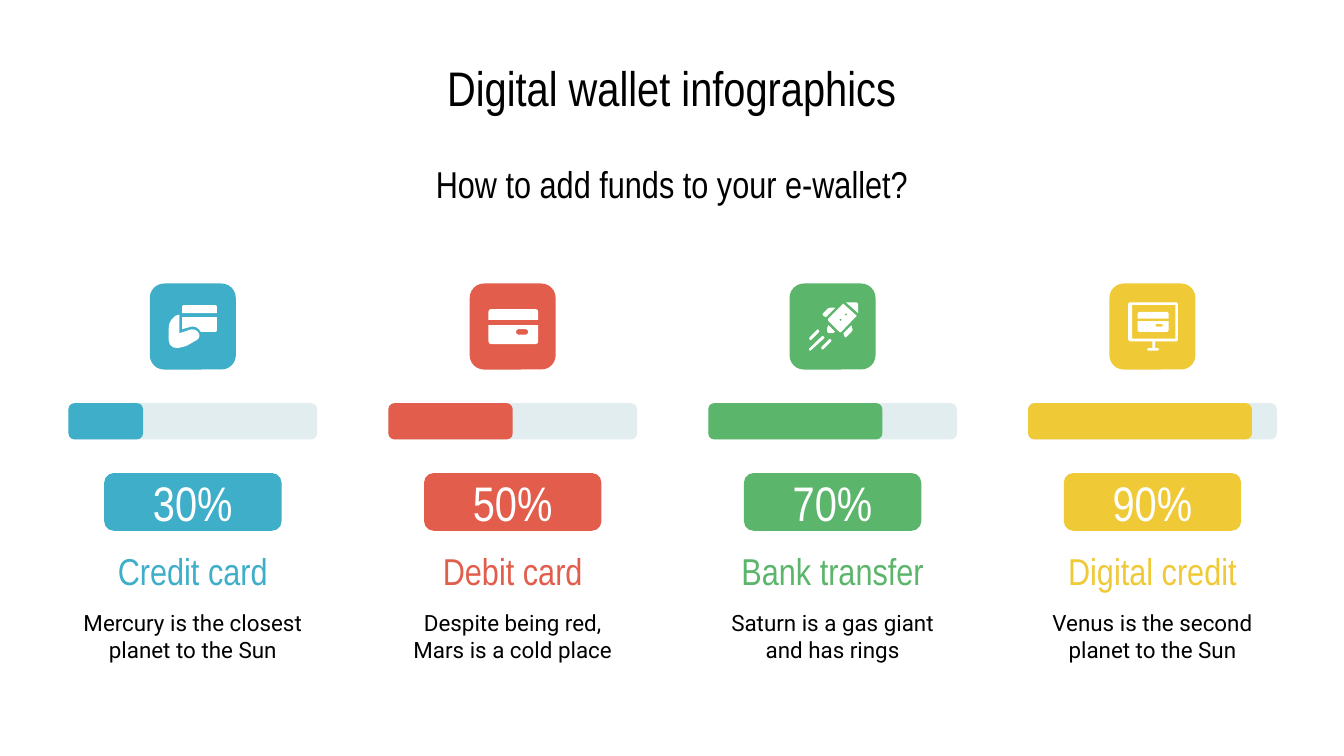
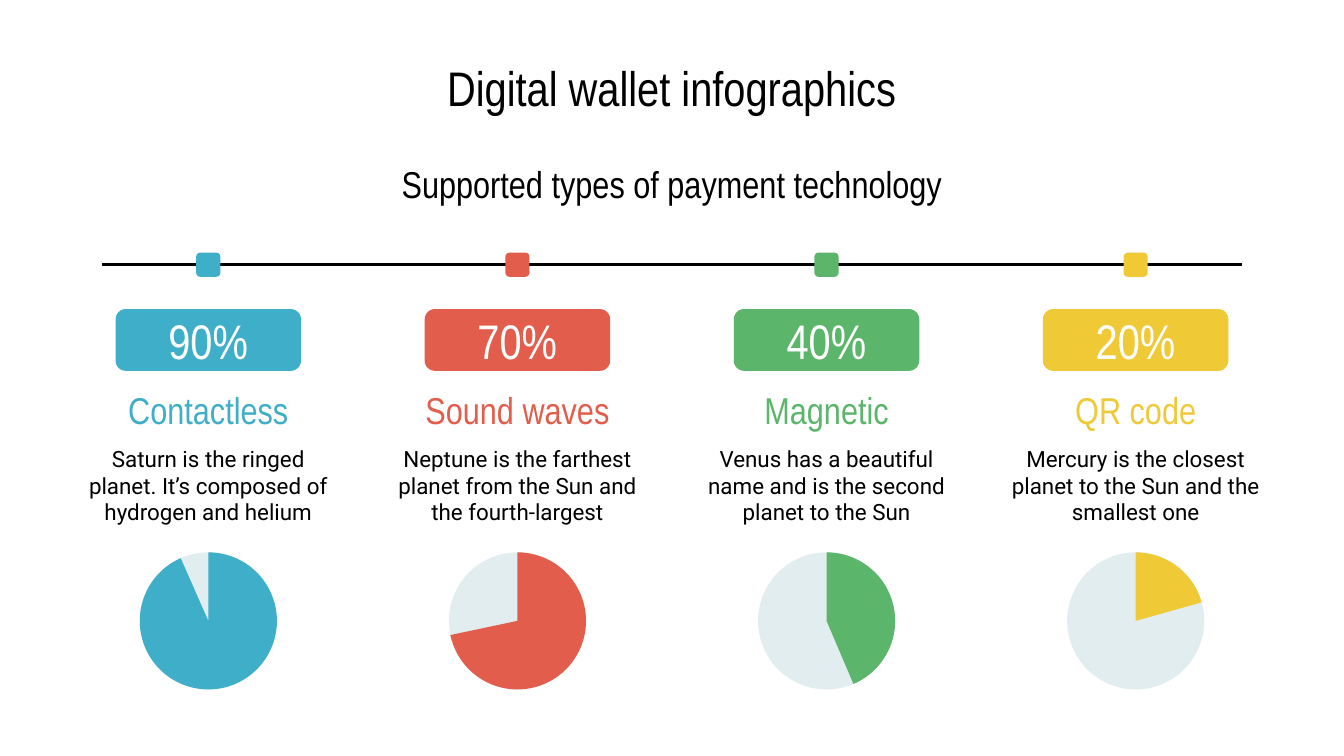
from lxml import etree
from pptx import Presentation, util as u
from pptx.dml.color import RGBColor
from pptx.enum import shapes, text
from pptx.oxml.ns import qn

# Content
TITLE = "Digital wallet infographics"
FUNDS = ("How to add funds to your e-wallet?", [
    ("Credit card", 30, "Mercury is the closest planet to the Sun"),
    ("Debit card", 50, "Despite being red, Mars is a cold place"),
    ("Bank transfer", 70, "Saturn is a gas giant and has rings"),
    ("Digital credit", 90, "Venus is the second planet to the Sun"),
])
# Name, percent, description, sweep of the pie in degrees
TECHNOLOGY = ("Supported types of payment technology", [
    ("Contactless", 90, "Saturn is the ringed planet. It’s composed of hydrogen and helium", 336.26),
    ("Sound waves", 70, "Neptune is the farthest planet from the Sun and the fourth-largest", 258.08),
    ("Magnetic", 40, "Venus has a beautiful name and is the second planet to the Sun", 156.9),
    ("QR code", 20, "Mercury is the closest planet to the Sun and the smallest one", 74.28),
])

# Icons: each part is a list of outlines (later outlines are holes),
# in hundredths of an inch from the corner of the icon tile
HAND_WITH_CARD = [
    [[(22, 23), (19, 24), (16, 27), (14.5, 30), (14, 34), (14, 42), (15, 45.5), (17.5, 47.5), (21, 48),
      (27, 46.5), (35, 42), (36.5, 40.5), (37, 38.5), (36, 36), (34, 34.5), (32, 34), (31, 34), (22, 37)]],
    [[(25, 16), (49, 16), (50, 17), (50, 22), (24, 22), (24, 17)]],
    [[(24, 25), (50, 25), (50, 35), (49, 36), (38, 36), (36.5, 34), (34.5, 32.5), (32, 32), (31, 32), (24, 34)]],
]
BANK_CARD = [
    [[(14, 21), (14.5, 19.5), (16, 19), (49, 19), (50.5, 19.5), (51, 21), (51, 27), (14, 27)]],
    [[(14, 31), (51, 31), (51, 43), (50.5, 44.5), (49, 45), (16, 45), (14.5, 44.5), (14, 43)],
     [(36, 34), (34.8, 34.8), (34.5, 36), (34.8, 37.2), (36, 38), (42, 38),
      (43.2, 37.2), (43.5, 36), (43.2, 34.8), (42, 34)]],
]
ROCKET = [
    [[(25, 39), (24, 39.2), (14.5, 48.5), (14.5, 49.5), (15.5, 50), (25.5, 41), (26, 40)]],
    [[(30, 41), (29.5, 41.3), (23.5, 47.5), (24, 49), (25, 49), (31, 43), (31, 42)]],
    [[(21, 34), (20.5, 34.3), (14.5, 40.5), (15, 42), (16, 42), (22, 36), (22, 35)]],
    [[(30, 18), (28.7, 18.4), (24.5, 22.5), (25, 24), (27, 25), (34, 18)]],
    [[(42, 14), (51, 22), (51, 15), (50, 14)]],
    [[(29, 31), (28, 33), (28, 36), (29, 37), (32, 37), (34, 36)]],
    [[(46, 31), (40, 37), (41, 39.5), (42, 40), (46, 36), (47, 34.5)]],
    [[(40, 15), (29, 26), (28.5, 27), (29, 28), (37, 36), (38, 36.3), (39, 35.5), (50, 24)],
     [(42, 22), (41, 23), (42, 24), (43, 23)],
     [(38, 26), (37, 27), (38, 28), (39, 27)]],
]
SCREEN = [
    [[(15, 14), (50, 14), (51, 15), (51, 42), (50, 43), (34, 43), (34, 48), (36, 48), (37, 49), (36, 50),
      (29, 50), (28, 49), (29, 48), (32, 48), (32, 43), (15, 43), (14, 42), (14, 15)],
     [(17, 16), (17, 41), (49, 41), (49, 16)]],
    [[(22, 21), (43, 21), (44, 22), (44, 26), (21, 26), (21, 22)]],
    [[(21, 28), (44, 28), (44, 35), (43, 36), (22, 36), (21, 35)],
     [(35, 30), (34, 31), (35, 32), (39, 32), (40, 31), (39, 30)]],
]
ICONS = [HAND_WITH_CARD, BANK_CARD, ROCKET, SCREEN]

# Shared style
ACCENTS = ["3EAEC9", "E25D4B", "5BB56A", "F0C936"]
BLACK, WHITE, TRACK = "000000", "FFFFFF", "E2EDF0"
HEAD_FONT, BODY_FONT = "Arial Narrow", "Roboto"
WIDTH, HEIGHT = 10, 5.625
KIND = shapes.MSO_SHAPE


def color(value):
    return RGBColor.from_string(value)


def box(left, top, width, height):
    return [u.Inches(length) for length in (left, top, width, height)]


def write(shape, content, size=20, font=HEAD_FONT, fill=BLACK):
    frame = shape.text_frame
    frame.word_wrap = True
    frame.auto_size = text.MSO_AUTO_SIZE.NONE
    frame.vertical_anchor = text.MSO_ANCHOR.MIDDLE
    frame.margin_left = frame.margin_right = frame.margin_top = frame.margin_bottom = u.Inches(0.1)
    paragraph = frame.paragraphs[0]
    paragraph.alignment = text.PP_ALIGN.CENTER
    run = paragraph.add_run()
    run.text = content
    run.font.size = u.Pt(size)
    run.font.name = font
    run.font.color.rgb = color(fill)


def add_text(slide, place, content, **style):
    write(slide.shapes.add_textbox(*box(*place)), content, **style)


def paint(shape, fill):
    shape.shadow.inherit = False
    shape.fill.solid()
    shape.fill.fore_color.rgb = color(fill)
    shape.line.fill.background()
    return shape


def add_shape(slide, kind, place, fill):
    return paint(slide.shapes.add_shape(kind, *box(*place)), fill)


def add_pill(slide, center, top, width, height, percent, fill):
    pill = add_shape(slide, KIND.ROUNDED_RECTANGLE, (center - width / 2, top, width, height), fill)
    write(pill, f"{percent}%", size=26, fill=WHITE)


def add_icon(slide, left, top, parts):
    for outlines in parts:
        builder = None
        for outline in outlines:
            points = [(x * 10, y * 10) for x, y in outline]
            if builder is None:
                builder = slide.shapes.build_freeform(*points[0], scale=u.Inches(1) / 1000)
            else:
                builder.move_to(*points[0])
            builder.add_line_segments(points[1:], close=True)
        paint(builder.convert_to_shape(u.Inches(left), u.Inches(top)), WHITE)


def add_slide(presentation, subtitle):
    slide = presentation.slides.add_slide(presentation.slide_layouts[5])
    title = slide.shapes.title
    title.left, title.top, title.width, title.height = box(0.45, 0.33, WIDTH - 0.9, 0.63)
    write(title, TITLE, size=26)
    add_text(slide, (2.2, 1.18, 5.6, 0.37), subtitle)
    return slide


def build_funds(presentation):
    subtitle, methods = FUNDS
    slide = add_slide(presentation, subtitle)
    width, pitch, tile = 1.85, 2.38, 0.64
    for column, (name, percent, description) in enumerate(methods):
        accent = ACCENTS[column]
        left = 0.51 + column * pitch
        center = left + width / 2
        # Icon, progress bar, percentage and caption
        add_shape(slide, KIND.ROUNDED_RECTANGLE, (center - tile / 2, 2.11, tile, tile), accent)
        add_icon(slide, center - tile / 2, 2.11, ICONS[column])
        for share, fill in ((1, TRACK), (percent / 100, accent)):
            add_shape(slide, KIND.ROUNDED_RECTANGLE, (left, 3, width * share, 0.27), fill)
        add_pill(slide, center, 3.52, 1.32, 0.43, percent, accent)
        add_text(slide, (left, 4.06, width, 0.37), name, fill=accent)
        add_text(slide, (left, 4.47, width, 0.52), description, size=12, font=BODY_FONT)


def build_technology(presentation):
    subtitle, technologies = TECHNOLOGY
    slide = add_slide(presentation, subtitle)
    # Timeline behind the markers
    timeline = slide.shapes.add_connector(shapes.MSO_CONNECTOR.STRAIGHT, u.Inches(0.76), u.Inches(1.97),
                                          u.Inches(WIDTH - 0.76), u.Inches(1.97))
    timeline.line.color.rgb = color(BLACK)
    timeline.line.width = u.Pt(1.5)
    etree.SubElement(timeline.element.spPr, qn("a:effectLst"))

    width, marker, disc = 2.12, 0.18, 1.02
    margin = 0.49
    pitch = (WIDTH - 2 * margin - width) / (len(technologies) - 1)
    for column, (name, percent, description, sweep) in enumerate(technologies):
        accent = ACCENTS[column]
        left = margin + column * pitch
        center = left + width / 2
        # Marker, percentage and caption
        add_shape(slide, KIND.ROUNDED_RECTANGLE, (center - marker / 2, 1.88, marker, marker), accent)
        add_pill(slide, center, 2.3, 1.38, 0.46, percent, accent)
        add_text(slide, (left, 2.86, width, 0.37), name, fill=accent)
        add_text(slide, (left, 3.23, width, 0.76), description, size=12, font=BODY_FONT)
        # Pie: clockwise from the top, angles in 0.6 units per degree
        place = (center - disc / 2, 4.11, disc, disc)
        add_shape(slide, KIND.OVAL, place, TRACK)
        pie = add_shape(slide, KIND.PIE, place, accent)
        pie.adjustments[0] = 270 * 0.6
        pie.adjustments[1] = (270 + sweep) % 360 * 0.6


def main():
    presentation = Presentation()
    presentation.slide_width = u.Inches(WIDTH)
    presentation.slide_height = u.Inches(HEIGHT)
    build_funds(presentation)
    build_technology(presentation)
    presentation.save("out.pptx")


if __name__ == "__main__":
    main()
